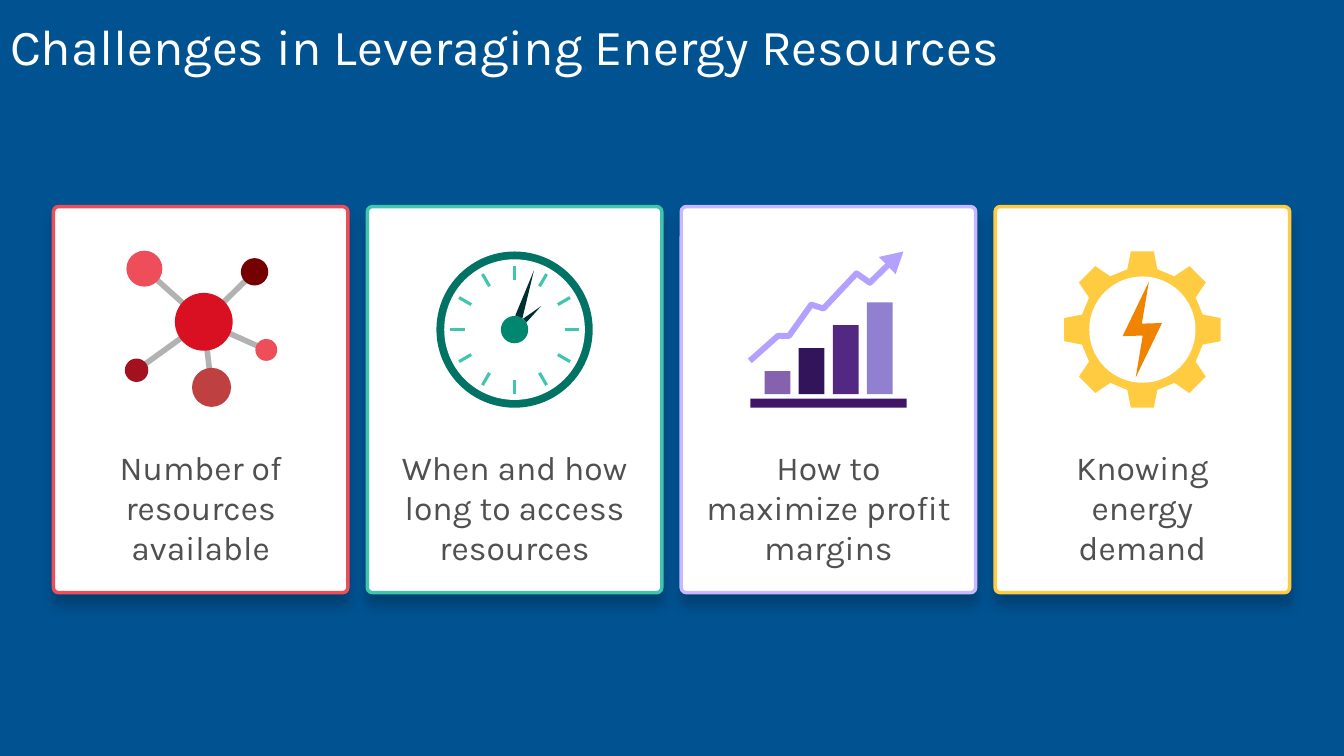
from math import cos, radians, sin

from lxml.etree import SubElement
from pptx import Presentation
from pptx.dml.color import RGBColor
from pptx.enum.shapes import MSO_CONNECTOR as Connector, MSO_SHAPE as Shape
from pptx.enum.text import MSO_ANCHOR as Anchor, MSO_AUTO_SIZE as AutoSize, PP_ALIGN as Align
from pptx.oxml.ns import qn
from pptx.util import Inches, Pt

WIDTH, HEIGHT = 13.33, 7.5
CARD_LEFT, CARD_RIGHT = 0.53, 12.79
CARD_TOP, CARD_WIDTH, CARD_HEIGHT = 2.05, 2.92, 3.83
CAPTION_TOP, CAPTION_HEIGHT, CAPTION_INSET = 4.18, 1.7, 0.2
ICON_SIZE, ICON_MIDDLE = 1.55, 3.27
CORNER = 0.05
WHITE, NAVY, GREY = "FFFFFF", "005291", "505050"


def color(hex_value):
    return RGBColor.from_string(hex_value)


def write_text(frame, text, size, ink, align=Align.LEFT, inset=0.1, spacing=1.0):
    frame.word_wrap = True
    frame.auto_size = AutoSize.NONE
    frame.vertical_anchor = Anchor.MIDDLE
    frame.margin_left = frame.margin_right = Inches(inset)
    frame.margin_top = frame.margin_bottom = Inches(inset / 2 if inset == 0.1 else inset)
    paragraph = frame.paragraphs[0]
    paragraph.text = text
    paragraph.alignment = align
    paragraph.line_spacing = spacing
    for run in paragraph.runs:
        run.font.name = "Karla"
        run.font.size = Pt(size)
        run.font.color.rgb = color(ink)


def polar(radius, degrees, offset=0):
    """Point at a radius, moved sideways by offset; 0 degrees is up, clockwise."""
    angle = radians(degrees)
    return (radius * sin(angle) + offset * cos(angle),
            offset * sin(angle) - radius * cos(angle))


class CardBoard:
    """Four card columns; icon lengths are percent of the icon box, from its centre."""

    def __init__(self, deck, columns):
        self.slide = deck.slides.add_slide(deck.slide_layouts[5])
        self.shapes = self.slide.shapes
        self.pitch = (CARD_RIGHT - CARD_LEFT - CARD_WIDTH) / (columns - 1)
        self.left = CARD_LEFT
        self.slide.background.fill.solid()
        self.slide.background.fill.fore_color.rgb = color(NAVY)

    def title(self, text):
        heading = self.shapes.title
        heading.left = heading.top = 0
        heading.width, heading.height = Inches(WIDTH), Inches(0.97)
        write_text(heading.text_frame, text, size=36, ink=WHITE, spacing=0.9)

    def card(self, column, caption, edge):
        self.left = CARD_LEFT + column * self.pitch
        panel = self.shapes.add_shape(
            Shape.ROUNDED_RECTANGLE, Inches(self.left), Inches(CARD_TOP),
            Inches(CARD_WIDTH), Inches(CARD_HEIGHT))
        panel.adjustments[0] = CORNER / CARD_WIDTH
        self.paint(panel, WHITE, edge, 2.5)
        self.drop_shadow(panel)
        caption_box = self.shapes.add_textbox(
            Inches(self.left), Inches(CAPTION_TOP), Inches(CARD_WIDTH), Inches(CAPTION_HEIGHT))
        write_text(caption_box.text_frame, caption, size=24, ink=GREY,
                   align=Align.CENTER, inset=CAPTION_INSET)

    def paint(self, shape, fill=None, edge=None, weight=0):
        shape.shadow.inherit = False
        for part, hue in ((shape.fill, fill), (shape.line.fill, edge)):
            if hue:
                part.solid()
                part.fore_color.rgb = color(hue)
            else:
                part.background()
        if edge:
            shape.line.width = Pt(weight)

    def drop_shadow(self, shape):
        effects = shape._element.spPr.find(qn("a:effectLst"))
        shadow = SubElement(effects, qn("a:outerShdw"), blurRad=str(Pt(8)), dist=str(Pt(8)),
                            dir="5400000", algn="t", rotWithShape="0")
        black = SubElement(shadow, qn("a:srgbClr"), val="000000")
        SubElement(black, qn("a:alpha"), val="20000")

    def spot(self, point):
        """Slide position of a point in the current icon."""
        x, y = point
        return (Inches(self.left + CARD_WIDTH / 2 + x * ICON_SIZE / 100),
                Inches(ICON_MIDDLE + y * ICON_SIZE / 100))

    def preset(self, kind, left, top, width, height, fill):
        size = (Inches(side * ICON_SIZE / 100) for side in (width, height))
        self.paint(self.shapes.add_shape(kind, *self.spot((left, top)), *size), fill)

    def disc(self, center, diameter, fill):
        x, y = center
        self.preset(Shape.OVAL, x - diameter / 2, y - diameter / 2, diameter, diameter, fill)

    def bar(self, left, top, width, height, fill):
        self.preset(Shape.RECTANGLE, left, top, width, height, fill)

    def line(self, start, end, hue, weight):
        stroke = self.shapes.add_connector(
            Connector.STRAIGHT, *self.spot(start), *self.spot(end))
        stroke.line.color.rgb = color(hue)
        stroke.line.width = Pt(weight)
        SubElement(stroke._element.spPr, qn("a:effectLst"))

    def outline(self, points, fill=None, edge=None, weight=0):
        """Closed when filled, otherwise an open path."""
        first, *rest = (self.spot(point) for point in points)
        builder = self.shapes.build_freeform(*first)
        builder.add_line_segments(rest, close=bool(fill))
        self.paint(builder.convert_to_shape(), fill, edge, weight)


def draw_network(board):
    hub = (2, -5)
    nodes = [((34.5, -37), 17.5, "750000"), ((-36, -39), 23, "EE4D5A"),
             ((-41, 26), 15, "A3111E"), ((7, 37), 25, "BE4040"), ((42, 13), 14, "EE4D5A")]
    for center, _, _ in nodes:
        board.line(hub, center, "B2B2B2", 4)
    for node in [(hub, 37, "D91021"), *nodes]:
        board.disc(*node)


def draw_gauge(board):
    middle = (0, 0)
    board.disc(middle, 100, "007365")
    board.disc(middle, 90, WHITE)
    for degrees in range(0, 360, 30):
        board.line(polar(32, degrees), polar(41, degrees), "40C5AF", 2.25)
    short_hand = [(5.5, -7), (7.5, -4.5), (17, -15)]
    long_hand = [(5, -7), (12.5, -38), (0.5, -9)]
    for hand in (short_hand, long_hand):
        board.outline(hand, "002F33")
    board.disc(middle, 17.5, "008770")


def draw_growth(board):
    board.bar(-50, 44.2, 100, 5.8, "401467")
    for step, hue in enumerate(["8562AD", "32145A", "522882", "9080CF"]):
        rise = 14.7 * (step + 1)
        board.bar(21.8 * step - 40.8, 41.3 - rise, 16.5, rise, hue)
    trend = [(-50.3, 20), (-32.3, 4), (-25.2, 4), (-11, -16),
             (-3.2, -13.5), (18, -36), (26.5, -30), (39.4, -42.6)]
    board.outline(trend, edge="B4A0FF", weight=4.25)
    board.outline([(43, -35.5), (48, -50), (32.3, -46.5)], "B4A0FF")


def draw_power(board):
    tooth = [(38.6, -9.6), (50, -7.4), (50, 7.4), (38.6, 9.6)]
    gear = [polar(radius, degrees, offset)
            for degrees in range(0, 360, 45) for radius, offset in tooth]
    board.outline(gear, "FFCB40")
    board.disc((0, 0), 68, WHITE)
    half_bolt = [(12.6, -4.2), (-4.2, 30.6), (0.3, 3.8)]
    bolt = half_bolt + [(-x, -y) for x, y in half_bolt]
    board.outline(bolt, "F08400")


def main():
    deck = Presentation()
    deck.slide_width, deck.slide_height = Inches(WIDTH), Inches(HEIGHT)
    challenges = [
        ("Number of resources available", "EE4D5A", draw_network),
        ("When and how long to access resources", "40C5AF", draw_gauge),
        ("How to maximize profit margins", "C7B8FF", draw_growth),
        ("Knowing\nenergy\ndemand", "FFCB40", draw_power),
    ]
    board = CardBoard(deck, len(challenges))
    board.title("Challenges in Leveraging Energy Resources")
    for column, (caption, edge, draw_icon) in enumerate(challenges):
        board.card(column, caption, edge)
        draw_icon(board)
    deck.save("out.pptx")


if __name__ == "__main__":
    main()
